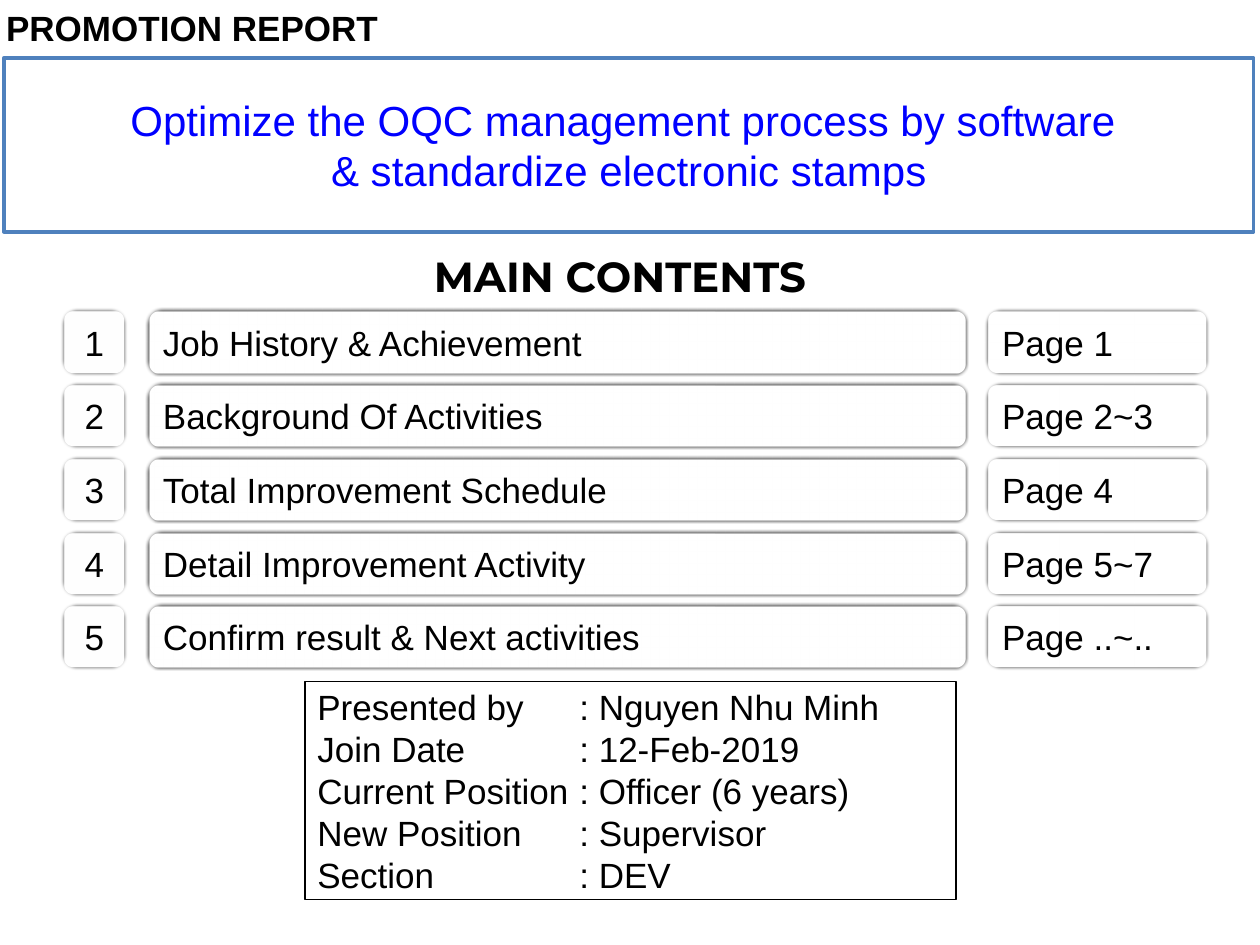
"""Build the cover slide of a promotion report with its list of contents."""
from lxml import etree
from pptx import Presentation
from pptx.dml.color import RGBColor
from pptx.enum import shapes, text
from pptx.oxml import ns
from pptx.util import Inches, Pt

BLACK = RGBColor(0x00, 0x00, 0x00)
WHITE = RGBColor(0xFF, 0xFF, 0xFF)
BLUE = RGBColor(0x00, 0x00, 0xFF)
STEEL = RGBColor(0x4F, 0x81, 0xBD)
LEFT, CENTER = text.PP_ALIGN.LEFT, text.PP_ALIGN.CENTER
RECT = shapes.MSO_SHAPE.RECTANGLE
ROUNDED = shapes.MSO_SHAPE.ROUNDED_RECTANGLE


def write(box, lines, size=20, align=LEFT, color=BLACK, font="Arial", bold=False):
    frame = box.text_frame
    frame.word_wrap = True
    for index, line in enumerate(lines):
        para = frame.add_paragraph() if index else frame.paragraphs[0]
        para.alignment = align
        span = para.add_run()
        span.text = line
        span.font.name = font
        span.font.size = Pt(size)
        span.font.bold = bold
        span.font.color.rgb = color


def add_box(kind, left, top, width, height, fill=WHITE, line=None, weight=1):
    box = page.shapes.add_shape(
        kind, Inches(left), Inches(top), Inches(width), Inches(height))
    box.shadow.inherit = False
    box.text_frame.vertical_anchor = text.MSO_ANCHOR.MIDDLE
    if fill is None:
        box.fill.background()
    else:
        box.fill.solid()
        box.fill.fore_color.rgb = fill
    if line is None:
        box.line.fill.background()
    else:
        box.line.color.rgb = line
        box.line.width = Pt(weight)
    return box


deck = Presentation()
deck.slide_width, deck.slide_height = Inches(10), Inches(7.5)
page = deck.slides.add_slide(deck.slide_layouts[5])

title = page.shapes.title
title.left, title.top = Inches(-0.17), Inches(0)
title.width, title.height = Inches(3.39), Inches(0.43)
title.text_frame.vertical_anchor = text.MSO_ANCHOR.TOP
title.text_frame.auto_size = text.MSO_AUTO_SIZE.SHAPE_TO_FIT_TEXT
write(title, ["PROMOTION REPORT"], align=CENTER, bold=True)

heading = add_box(ROUNDED, 3.42, 1.95, 3, 0.47)
heading.adjustments[0] = 0
write(heading, ["MAIN CONTENTS"], 24, CENTER, font="Montserrat", bold=True)
heading.text_frame.word_wrap = False

contents = [
    ("Job History & Achievement", "Page 1"),
    ("Background Of Activities", "Page 2~3"),
    ("Total Improvement Schedule", "Page 4"),
    ("Detail Improvement Activity", "Page 5~7"),
    ("Confirm result & Next activities", "Page ..~.."),
]
for row, (topic, pages) in enumerate(contents):
    cells = [(0.5, 0.5, str(row + 1), CENTER),
             (1.17, 6.5, topic, LEFT),
             (7.83, 1.75, pages, LEFT)]
    for left, width, label, align in cells:
        cell = add_box(ROUNDED, left, 2.46 + row * 2.34 / 4, width, 0.51,
                       line=BLACK, weight=2.25)
        effects = cell._element.spPr.find(ns.qn("a:effectLst"))
        etree.SubElement(effects, ns.qn("a:softEdge"), rad=str(Pt(2.5)))
        write(cell, [label], align=align)

profile = [
    ("Presented by", "Nguyen Nhu Minh"),
    ("Join Date", "12-Feb-2019"),
    ("Current Position", "Officer (6 years)"),
    ("New Position", "Supervisor"),
    ("Section", "DEV"),
]
card = add_box(RECT, 2.42, 5.41, 5.17, 1.73, fill=None, line=BLACK)
write(card, [f"{name}\t: {value}" for name, value in profile])
for para in card.text_frame.paragraphs:
    stops = etree.SubElement(para._p.get_or_add_pPr(), ns.qn("a:tabLst"))
    etree.SubElement(stops, ns.qn("a:tab"), pos=str(Inches(2.08)), algn="l")

banner = add_box(RECT, 0.03, 0.46, 9.92, 1.38, line=STEEL, weight=2)
write(banner, ["Optimize the OQC management process by software ",
               "& standardize electronic stamps"], 24, CENTER, BLUE)

deck.save("out.pptx")
